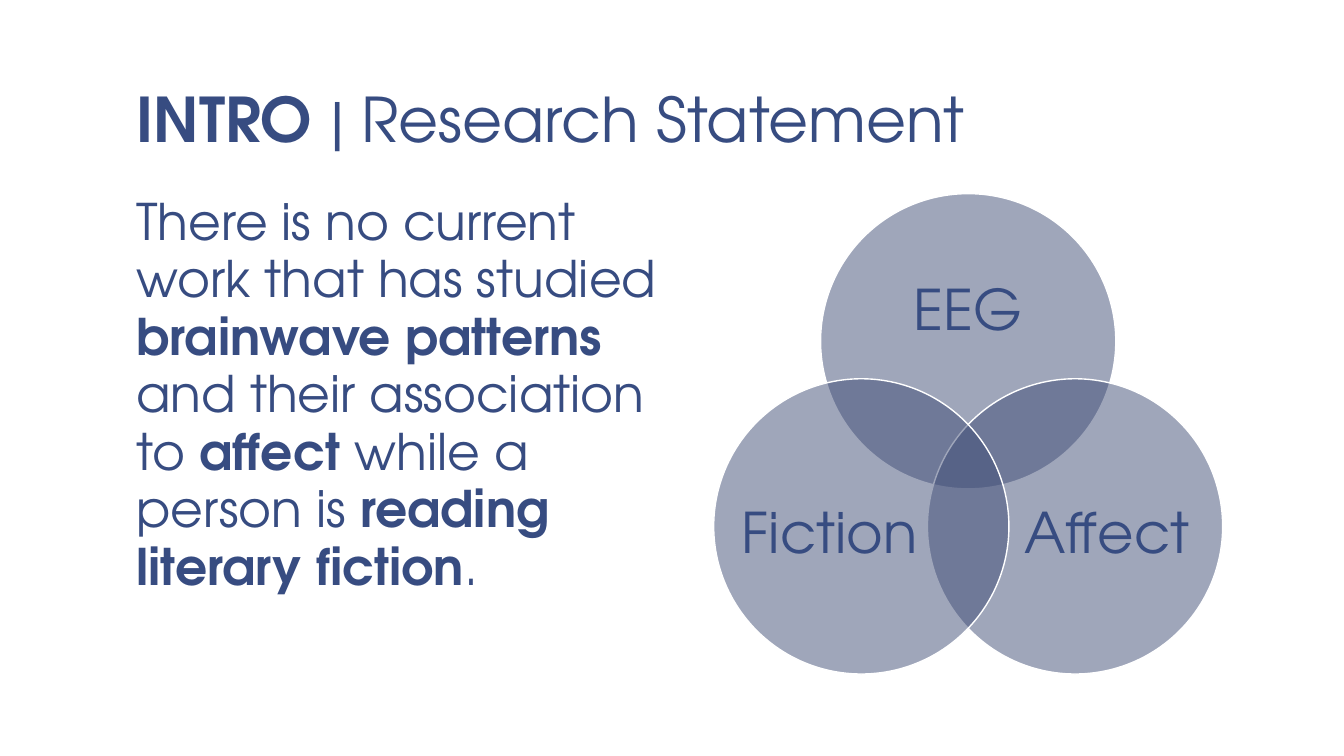
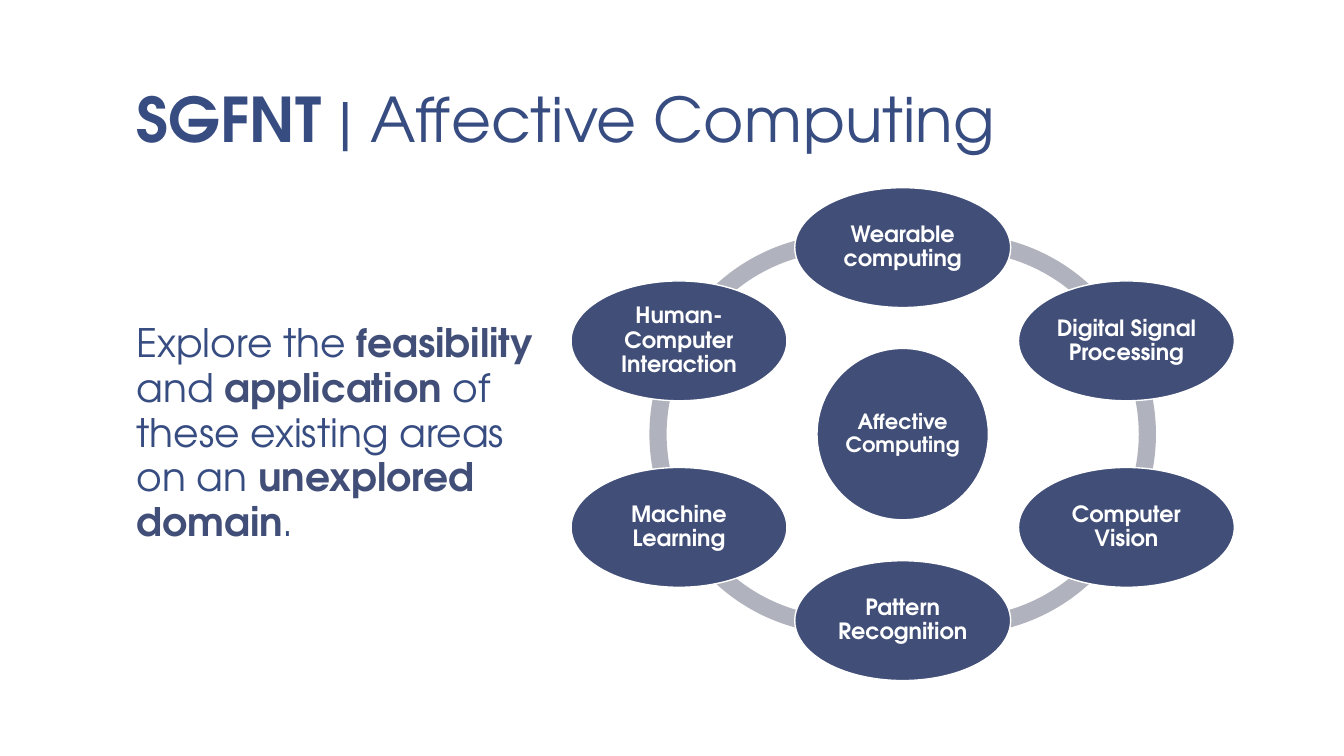
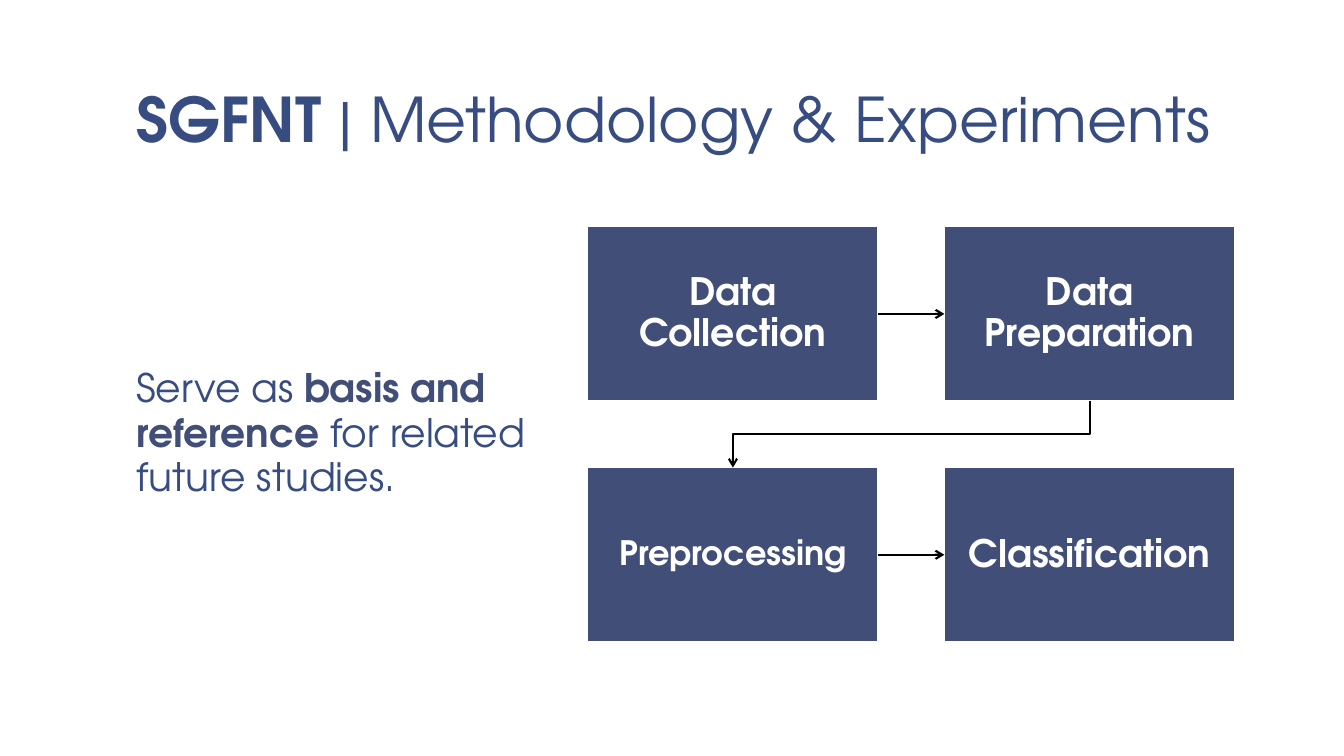
import itertools
import math

import pptx
import pptx.dml.color
import pptx.enum.dml
import pptx.enum.shapes
import pptx.enum.text
import pptx.oxml
import pptx.oxml.ns
import pptx.util

Cm = pptx.util.Cm
Pt = pptx.util.Pt
Shape = pptx.enum.shapes.MSO_SHAPE
Link = pptx.enum.shapes.MSO_CONNECTOR
Align = pptx.enum.text.PP_ALIGN
Anchor = pptx.enum.text.MSO_ANCHOR

FONT = "TeX Gyre Adventor"
INK = "374C81"
NAVY = "414E77"
RING = "B0B2BD"
WHITE = "FFFFFF"
BLACK = "000000"
TOP, LEFT, BOTTOM, RIGHT = 0, 1, 2, 3


def color(value):
    return pptx.dml.color.RGBColor.from_string(value)


def add_xml(parent, tag, **attributes):
    child = pptx.oxml.parse_xml(f"<a:{tag} {pptx.oxml.ns.nsdecls('a')}/>")
    for name, value in attributes.items():
        child.set(name, value)
    parent.append(child)


def write_text(box, spans, size, ink=INK, bold_ink=None, align=Align.CENTER,
               anchor=Anchor.MIDDLE, spacing=0.9, before=0, inset=(0, 0)):
    frame = box.text_frame
    frame.word_wrap = True
    frame.auto_size = pptx.enum.text.MSO_AUTO_SIZE.NONE
    frame.vertical_anchor = anchor
    frame.margin_left = frame.margin_right = Cm(inset[0])
    frame.margin_top = frame.margin_bottom = Cm(inset[1])
    para = frame.paragraphs[0]
    para.alignment = align
    para.line_spacing = spacing
    para.space_before = Pt(before)
    for text, bold in spans:
        span = para.add_run()
        span.text = text
        span.font.name = FONT
        span.font.size = Pt(size)
        span.font.bold = bold
        span.font.color.rgb = color(bold_ink if bold and bold_ink else ink)
    return para


def place(box, left, top, width, height):
    box.left, box.top = Cm(left), Cm(top)
    box.width, box.height = Cm(width), Cm(height)


def add_page(deck, section, topic, spans, title_width=28.22, body_width=10.87,
             size=28, anchor=Anchor.MIDDLE, bold_ink=NAVY):
    page = deck.slides.add_slide(deck.slide_layouts[1])
    title, body = page.placeholders
    place(title, 3.1, 0.2, title_width, 3.89)
    write_text(title, [(section + " ", True), ("| " + topic, False)], 44, align=Align.LEFT,
               anchor=Anchor.BOTTOM, spacing=0.85, inset=(0.34, 0.18))
    place(body, 3.1, 4.72, body_width, 12.42)
    para = write_text(body, spans, size, bold_ink=bold_ink, align=Align.LEFT, anchor=anchor,
                      spacing=0.95, before=18.7, inset=(0.34, 0.18))
    properties = para._p.get_or_add_pPr()
    properties.set("marL", "0")
    properties.set("indent", "0")
    add_xml(properties, "buNone")
    return page


def add_figure(page, kind, center, width, height, fill=NAVY, outlined=True, alpha=None):
    x, y = center
    figure = page.shapes.add_shape(kind, Cm(x - width / 2), Cm(y - height / 2),
                                   Cm(width), Cm(height))
    figure.shadow.inherit = False
    figure.fill.solid()
    figure.fill.fore_color.rgb = color(fill)
    if alpha:
        swatch = figure._element.spPr.find(".//" + pptx.oxml.ns.qn("a:srgbClr"))
        add_xml(swatch, "alpha", val=str(alpha * 1000))
    if outlined:
        figure.line.color.rgb = color(WHITE)
        figure.line.width = Pt(1)
    else:
        figure.line.fill.background()
    return figure


def add_node(page, kind, center, width, height, text, size, inset=0.05):
    node = add_figure(page, kind, center, width, height)
    write_text(node, [(text, True)], size, ink=WHITE, inset=(inset, inset))
    return node


def add_label(page, center, width, height, text):
    box = page.shapes.add_textbox(Cm(center[0] - width / 2), Cm(center[1] - height / 2),
                                  Cm(width), Cm(height))
    write_text(box, [(text, False)], 40)


def add_ring_arc(page, first, second, radius):
    dx, dy = second[0] - first[0], second[1] - first[1]
    chord = math.hypot(dx, dy)
    rise = math.sqrt(radius ** 2 - chord ** 2 / 4)
    center = ((first[0] + second[0]) / 2 - dy / chord * rise,
              (first[1] + second[1]) / 2 + dx / chord * rise)
    arc = add_figure(page, Shape.BLOCK_ARC, center, 9.63, 9.63, fill=RING, outlined=False)
    for index, (x, y) in enumerate((first, second)):
        angle = math.degrees(math.atan2(y - center[1], x - center[0])) % 360
        arc.adjustments[index] = angle * 0.6
    arc.adjustments[2] = 0.045


def add_arrow(page, kind, start, start_side, end, end_side):
    arrow = page.shapes.add_connector(kind, 0, 0, 0, 0)
    arrow.begin_connect(start, start_side)
    arrow.end_connect(end, end_side)
    arrow.line.color.rgb = color(BLACK)
    arrow.line.width = Pt(1.5)
    add_xml(arrow.line._get_or_add_ln(), "tailEnd", type="arrow")
    add_xml(arrow._element.spPr, "effectLst")
    return arrow


def turn_elbow_down(arrow):
    width, height = arrow.width, arrow.height
    arrow.left += (width - height) // 2
    arrow.top += (height - width) // 2
    arrow.width, arrow.height = height, width
    transform = arrow._element.spPr.xfrm
    transform.flipH = False
    transform.rot = 90


def around(center, radius_x, radius_y, count):
    angles = [math.radians(360 / count * index - 90) for index in range(count)]
    return [(center[0] + radius_x * math.cos(angle), center[1] + radius_y * math.sin(angle))
            for angle in angles]


def build_statement(deck):
    page = add_page(deck, "INTRO", "Research Statement", [
        ("There is no current work that has studied ", False), ("brainwave patterns ", True),
        ("and their association to ", False), ("affect ", True),
        ("while a person is ", False), ("reading literary fiction", True), (".", False),
    ], body_width=13.82, size=36, anchor=Anchor.TOP, bold_ink=INK)
    labels = [("EEG", 0, -0.72, 5.46, 3.35), ("Affect", 0.8, 0.23, 4.47, 4.09),
              ("Fiction", -0.8, 0.23, 4.47, 4.09)]
    centers = around((24.4, 11.71), 3.11, 3.11, len(labels))
    for (x, y), (text, dx, dy, width, height) in zip(centers, labels):
        add_figure(page, Shape.OVAL, (x, y), 7.44, 7.44, alpha=50)
        add_label(page, (x + dx, y + dy), width, height, text)


def build_computing(deck):
    page = add_page(deck, "SGFNT", "Affective Computing", [
        ("Explore the ", False), ("feasibility ", True), ("and ", False),
        ("application ", True), ("of these existing areas on an ", False),
        ("unexplored domain", True), (".", False),
    ])
    fields = ["Wearable computing", "Digital Signal Processing", "Computer Vision",
              "Pattern Recognition", "Machine Learning", "Human-Computer Interaction"]
    hub = (22.75, 10.94)
    centers = around(hub, 6.51, 4.7, len(fields))
    for first, second in zip(centers, centers[1:] + centers[:1]):
        add_ring_arc(page, first, second, 4.7)
    add_node(page, Shape.OVAL, hub, 4.32, 4.32, "Affective Computing", 15)
    for center, field in zip(centers, fields):
        add_node(page, Shape.OVAL, center, 5.44, 3.02, field, 16)


def build_methodology(deck):
    page = add_page(deck, "SGFNT", "Methodology & Experiments", [
        ("Serve as ", False), ("basis and reference ", True),
        ("for related future studies.", False),
    ], title_width=28.85)
    steps = [("Data Collection", 27), ("Data Preparation", 27),
             ("Preprocessing", 24), ("Classification", 27)]
    places = itertools.product(range(2), range(2))
    collection, preparation, preprocessing, classification = [
        add_node(page, Shape.RECTANGLE, (18.47 + 8.99 * column, 7.91 + 6.07 * row),
                 7.32, 4.39, text, size, inset=0.5)
        for (row, column), (text, size) in zip(places, steps)]
    add_arrow(page, Link.STRAIGHT, collection, RIGHT, preparation, LEFT)
    turn_elbow_down(add_arrow(page, Link.ELBOW, preparation, BOTTOM, preprocessing, TOP))
    add_arrow(page, Link.STRAIGHT, preprocessing, RIGHT, classification, LEFT)


def main():
    deck = pptx.Presentation()
    deck.slide_width, deck.slide_height = Cm(33.87), Cm(19.05)
    build_statement(deck)
    build_computing(deck)
    build_methodology(deck)
    deck.save("out.pptx")


if __name__ == "__main__":
    main()
